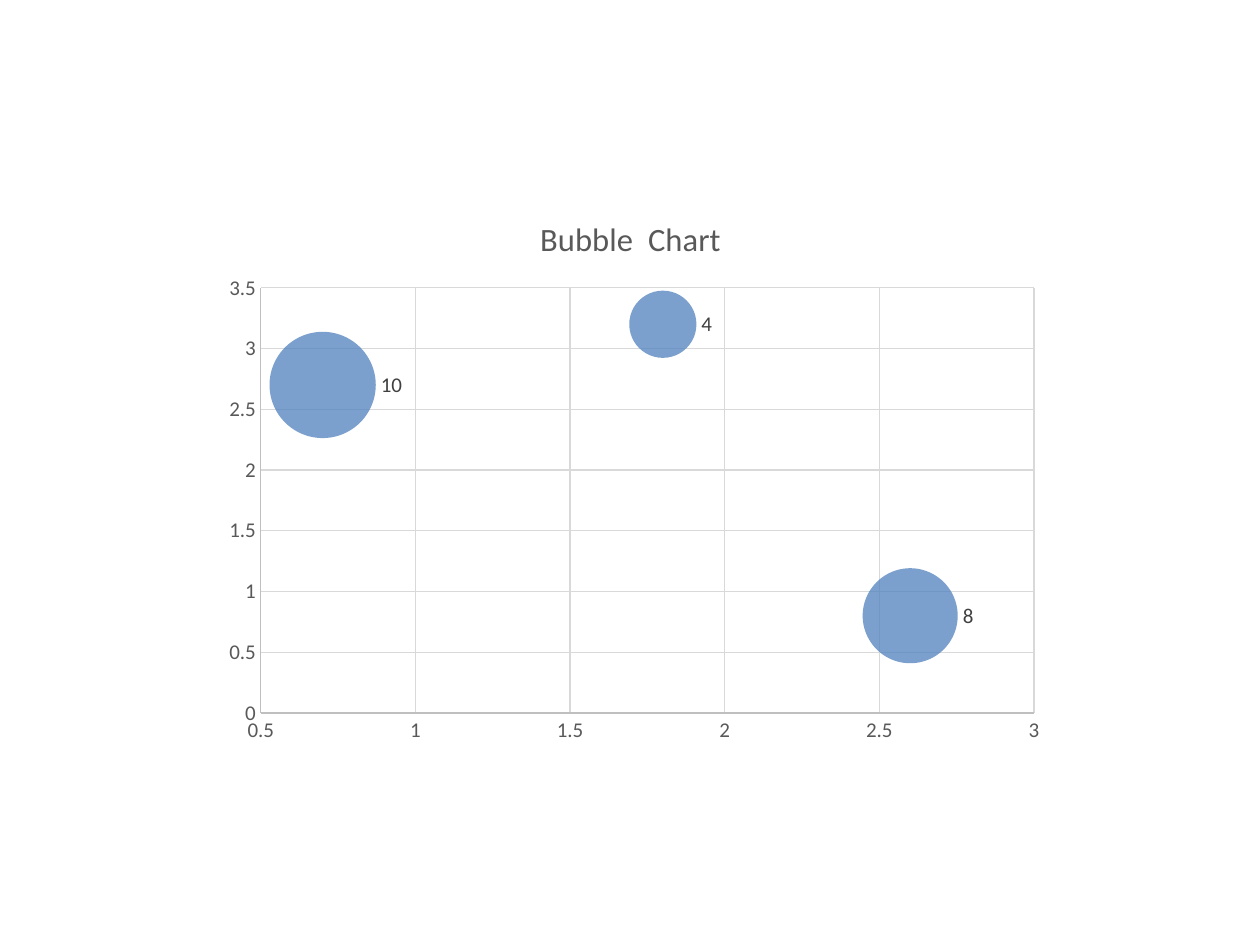
from typing import NamedTuple

from lxml.etree import SubElement
from pptx import Presentation
from pptx.chart.data import BubbleChartData
from pptx.chart.datalabel import DataLabels
from pptx.dml.color import RGBColor
from pptx.enum.chart import XL_CHART_TYPE, XL_LABEL_POSITION, XL_TICK_MARK
from pptx.oxml import parse_xml
from pptx.oxml.ns import nsdecls, qn
from pptx.util import Inches, Pt

BLUE = RGBColor(0x4F, 0x81, 0xBD)
TEXT_GRAY = RGBColor(0x59, 0x59, 0x59)
LABEL_GRAY = RGBColor(0x40, 0x40, 0x40)
AXIS_GRAY = RGBColor(0xBF, 0xBF, 0xBF)
GRID_GRAY = RGBColor(0xD9, 0xD9, 0xD9)
FONT = "Calibri"


class Bubble(NamedTuple):
    x: float
    y: float
    size: float


BUBBLES = [Bubble(0.7, 2.7, 10), Bubble(1.8, 3.2, 4), Bubble(2.6, 0.8, 8)]


def format_font(font, size: float, color: RGBColor) -> None:
    font.name = FONT
    font.size = Pt(size)
    font.bold = False
    font.color.rgb = color


def set_title(chart, text: str, *, size: float, color: RGBColor) -> None:
    chart.has_title = True
    title = chart.chart_title
    title.include_in_layout = False
    p = title.text_frame.paragraphs[0]
    r = p.add_run()
    r.text = text
    format_font(r.font, size, color)


def format_axis(axis, low: float, high: float) -> None:
    axis.minimum_scale = low
    axis.maximum_scale = high
    axis.major_unit = 0.5
    axis.major_tick_mark = axis.minor_tick_mark = XL_TICK_MARK.NONE
    axis.has_title = False
    axis.has_major_gridlines = True
    lines = [(axis.format.line, AXIS_GRAY), (axis.major_gridlines.format.line, GRID_GRAY)]
    for line, color in lines:
        line.color.rgb = color
        line.width = Pt(0.75)
    axis.tick_labels.number_format = "General"
    axis.tick_labels.number_format_is_linked = False
    format_font(axis.tick_labels.font, 12, TEXT_GRAY)


def format_bubbles(plot) -> None:
    plot.bubble_scale = 100
    series = plot.series[0]
    ser = series._element
    fill = series.format.fill
    fill.solid()
    fill.fore_color.rgb = BLUE
    color = next(ser.iter(qn("a:srgbClr")))
    SubElement(color, qn("a:alpha"), val="75000")
    series.format.line.fill.background()
    labels = DataLabels(ser.get_or_add_dLbls())
    labels.show_value = True
    labels.position = XL_LABEL_POSITION.RIGHT
    format_font(labels.font, 12, LABEL_GRAY)


def place_plot(chart, x: float, y: float, w: float, h: float) -> None:
    area = next(chart.element.iter(qn("c:plotArea")))
    for old in area.findall(qn("c:layout")):
        area.remove(old)
    area.insert(0, parse_xml(
        f'<c:layout {nsdecls("c")}><c:manualLayout><c:layoutTarget val="inner"/>'
        '<c:xMode val="edge"/><c:yMode val="edge"/>'
        f'<c:x val="{x}"/><c:y val="{y}"/><c:w val="{w}"/><c:h val="{h}"/>'
        "</c:manualLayout></c:layout>"
    ))


def add_bubble_chart(s, bubbles: list[Bubble]) -> None:
    data = BubbleChartData()
    series = data.add_series("Series 1")
    for bubble in bubbles:
        series.add_data_point(*bubble)
    chart = s.shapes.add_chart(
        XL_CHART_TYPE.BUBBLE, Inches(1.67), Inches(1.53), Inches(6.67), Inches(4.44), data
    ).chart
    chart.has_legend = False
    chart.font.name = FONT
    chart.font.size = Pt(10)
    set_title(chart, "Bubble  Chart", size=18.6, color=TEXT_GRAY)
    format_axis(chart.category_axis, 0.5, 3)
    format_axis(chart.value_axis, 0, 3.5)
    format_bubbles(chart.plots[0])
    place_plot(chart, 0.06, 0.17, 0.92, 0.76)


def main() -> None:
    prs = Presentation()
    prs.slide_width = Inches(10)
    prs.slide_height = Inches(7.5)
    s = prs.slides.add_slide(prs.slide_layouts[6])
    add_bubble_chart(s, BUBBLES)
    prs.save("out.pptx")


if __name__ == "__main__":
    main()
